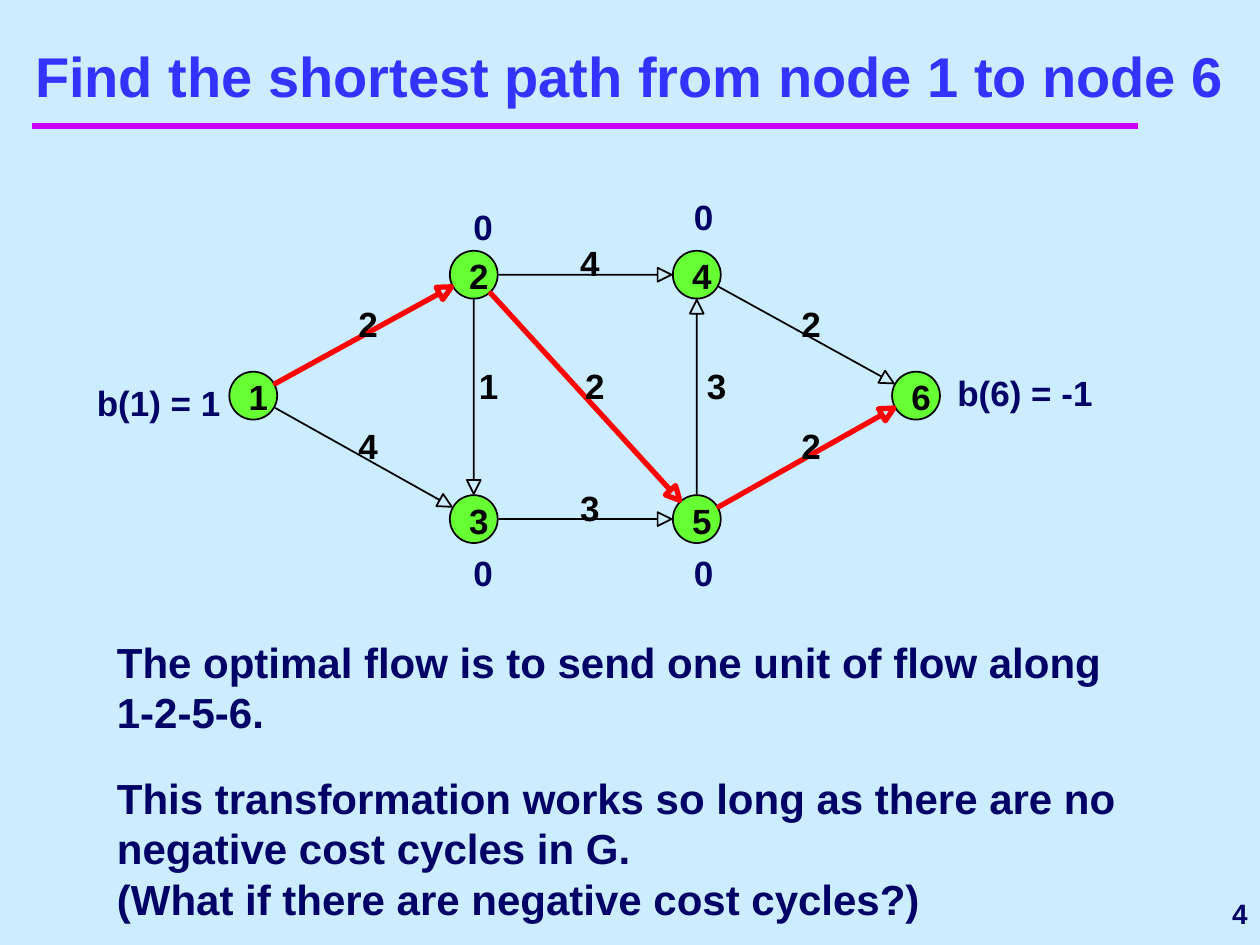
"""Build a slide showing the shortest path from node 1 to node 6 of a network."""
from math import hypot

from lxml import etree
from pptx import Presentation
from pptx import util as u
from pptx.dml.color import RGBColor
from pptx.enum import shapes, text
from pptx.oxml.ns import qn

TITLE = "Find the shortest path from node 1 to node 6"
NODES = {"1": (2.01, 3.14), "2": (3.76, 2.18), "3": (3.76, 4.12),
         "4": (5.53, 2.18), "5": (5.53, 4.12), "6": (7.27, 3.14)}
EDGES = [("1", "2", "2", 0.04), ("2", "4", "4", 0.04), ("2", "5", "2", 0.08),
         ("2", "3", "1", 0.12), ("3", "5", "3", 0.04), ("1", "3", "4", 0.04),
         ("4", "6", "2", 0.04), ("5", "4", "3", 0.16), ("5", "6", "2", 0.04)]
ROUTE = ["1", "2", "5", "6"]
SUPPLIES = [("b(1) = 1", 0.67, 2.98, 1.5), ("b(6) = -1", 7.5, 2.9, 1.33),
            ("0", 3.66, 1.58, 1), ("0", 5.41, 1.5, 1),
            ("0", 5.41, 4.33, 1), ("0", 3.66, 4.33, 1)]
NOTES = [("The optimal flow is to send one unit of flow along\v1-2-5-6.", 5, 0.9),
         ("This transformation works so long as there are no negative cost "
          "cycles in G.\v(What if there are negative cost cycles?)", 6.08, 1.3)]

NAVY, BLACK, BLUE = "000066", "000000", "3333FF"
GREEN, RED, PURPLE, SKY = "66FF33", "FF0000", "CC00FF", "CCECFF"
DIAMETER, REACH, HEAD = 0.38, 0.2, 0.11
LEFT, CENTER, RIGHT = text.PP_ALIGN.LEFT, text.PP_ALIGN.CENTER, text.PP_ALIGN.RIGHT
MIDDLE, BOTTOM = text.MSO_ANCHOR.MIDDLE, text.MSO_ANCHOR.BOTTOM


def rgb(value):
    return RGBColor.from_string(value)


def stroke(line, color, width):
    line.color.rgb = rgb(color)
    line.width = u.Pt(width)


def write(sp, words, size, color, align=LEFT, margins=None, **frame):
    tf = sp.text_frame
    for name, value in {"word_wrap": True, **frame}.items():
        setattr(tf, name, value)
    for side, value in zip(("left", "top", "right", "bottom"),
                           margins or (0.1, 0.05, 0.1, 0.05)):
        setattr(tf, f"margin_{side}", u.Inches(value))
    p = tf.paragraphs[0]
    p.text = words
    p.alignment = align
    for item in p.runs:
        for name, value in {"name": "Arial", "size": u.Pt(size), "bold": True}.items():
            setattr(item.font, name, value)
        item.font.color.rgb = rgb(color)


def add_text(s, words, box, size, color, **style):
    sp = s.shapes.add_textbox(*map(u.Inches, box))
    write(sp, words, size, color, **style)


def add_node(s, name):
    x, y = NODES[name]
    r = DIAMETER / 2
    sp = s.shapes.add_shape(shapes.MSO_SHAPE.OVAL,
                            *map(u.Inches, (x - r, y - r, DIAMETER, DIAMETER)))
    sp.shadow.inherit = False
    sp.fill.solid()
    sp.fill.fore_color.rgb = rgb(GREEN)
    stroke(sp.line, BLACK, 1)
    write(sp, name, 20, BLACK, align=CENTER, margins=(0.08, 0.02, 0, 0),
          vertical_anchor=MIDDLE, word_wrap=False)


def add_edge(s, start, end, cost, shift):
    (x1, y1), (x2, y2) = NODES[start], NODES[end]
    length = hypot(x2 - x1, y2 - y1)
    dx, dy = (x2 - x1) / length, (y2 - y1) / length

    def at(along, side=0):
        return (u.Inches(x1 + along * dx - side * dy),
                u.Inches(y1 + along * dy + side * dx))

    tip = length - REACH
    neck = tip - HEAD
    fb = s.shapes.build_freeform(*at(REACH))
    fb.add_line_segments([at(neck), at(neck, HEAD / 2), at(tip),
                          at(neck, -HEAD / 2), at(neck)], close=True)
    sp = fb.convert_to_shape()
    sp.shadow.inherit = False
    sp.fill.background()
    chosen = (start, end) in zip(ROUTE, ROUTE[1:])
    stroke(sp.line, *((RED, 3) if chosen else (BLACK, 1)))
    box = ((x1 + x2) / 2 + shift - 0.08, (y1 + y2) / 2 - 0.26, 0.16, 0.33)
    add_text(s, cost, box, 20, BLACK, margins=(0, 0, 0, 0), word_wrap=False)


def main():
    prs = Presentation()
    prs.slide_width, prs.slide_height = u.Inches(10), u.Inches(7.5)
    s = prs.slides.add_slide(prs.slide_layouts[5])
    s.background.fill.solid()
    s.background.fill.fore_color.rgb = rgb(SKY)

    rule = s.shapes.add_connector(shapes.MSO_CONNECTOR.STRAIGHT,
                                  *map(u.Inches, (0.25, 1, 9.03, 1)))
    stroke(rule.line, PURPLE, 4)
    etree.SubElement(rule._element.spPr, qn("a:effectLst"))

    title = s.shapes.title
    for name, value in {"left": 0, "top": 0.33, "width": 10, "height": 0.58}.items():
        setattr(title, name, u.Inches(value))
    write(title, TITLE, 32, BLUE, align=CENTER, vertical_anchor=BOTTOM,
          auto_size=text.MSO_AUTO_SIZE.NONE)

    for words, top, height in NOTES:
        add_text(s, words, (0.83, top, 8.5, height), 24, NAVY)
    for name in NODES:
        add_node(s, name)
    for edge in EDGES:
        add_edge(s, *edge)
    for words, left, top, width in SUPPLIES:
        add_text(s, words, (left, top, width, 0.44), 20, NAVY)
    add_text(s, "4", (8.08, 7, 1.92, 0.5), 16, NAVY, align=RIGHT,
             vertical_anchor=MIDDLE)
    prs.save("out.pptx")


if __name__ == "__main__":
    main()
